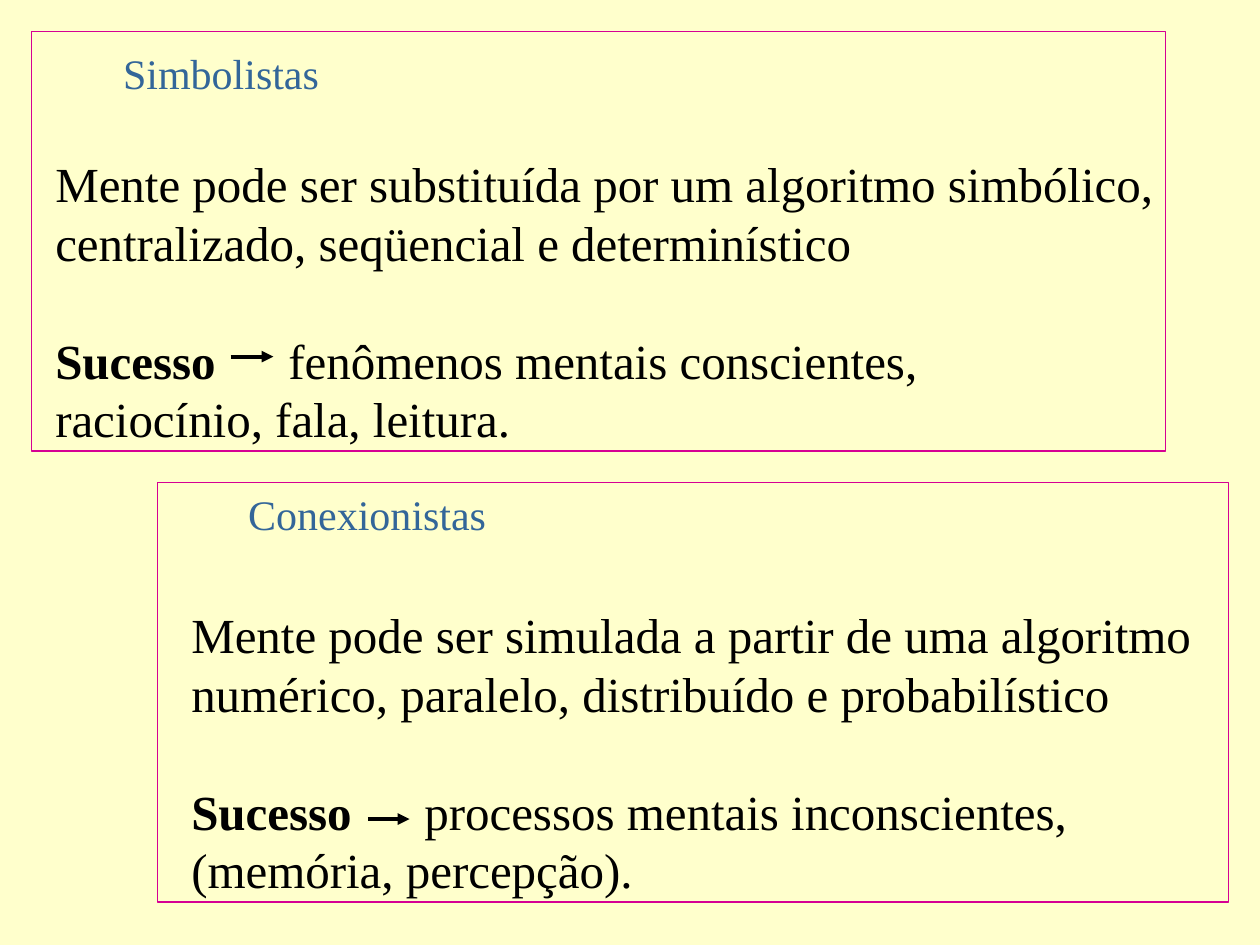
from dataclasses import dataclass

from lxml.etree import SubElement
from pptx import Presentation
from pptx.dml.color import RGBColor
from pptx.enum.shapes import MSO_CONNECTOR, MSO_SHAPE
from pptx.enum.text import PP_ALIGN
from pptx.oxml.ns import qn
from pptx.slide import Slide
from pptx.util import Inches, Pt

FONT = "Times New Roman"
BACKGROUND, BORDER, HEADING, BODY = "FFFFCC", "D60093", "336699", "000000"
SUCCESS_TAB = 1.85
Box = tuple[float, float, float, float]


@dataclass
class School:
    name: str
    frame: Box
    name_box: Box
    body_box: Box
    thesis: list[str]
    success: list[str]
    arrow: Box  # x1, y1, x2, y2


SCHOOLS = [
    School(
        "Simbolistas", (0.25, 0.25, 9, 3.33), (0.42, 0.33, 2.67, 0.74), (0.34, 1.17, 9.01, 2.44),
        ["Mente pode ser substituída por um algoritmo simbólico,",
         "centralizado, seqüencial e determinístico"],
        ["fenômenos mentais conscientes,", "raciocínio, fala, leitura."],
        (1.83, 2.83, 2.17, 2.83),
    ),
    School(
        "Conexionistas", (1.25, 3.83, 8.5, 3.33), (1.5, 3.83, 2.83, 0.83), (1.42, 4.75, 8.23, 2.44),
        ["Mente pode ser simulada a partir de uma algoritmo",
         "numérico, paralelo, distribuído e probabilístico"],
        ["processos mentais inconscientes,", "(memória, percepção)."],
        (2.92, 6.5, 3.25, 6.5),
    ),
]


def color(value: str) -> RGBColor:
    return RGBColor.from_string(value)


def add_run(p, text: str, size: float, fill: str, bold: bool = False) -> None:
    r = p.add_run()
    r.text = text
    r.font.name, r.font.size, r.font.bold = FONT, Pt(size), bold
    r.font.color.rgb = color(fill)


def add_text_frame(s: Slide, box: Box):
    tf = s.shapes.add_textbox(*map(Inches, box)).text_frame
    tf.word_wrap = True
    return tf


def add_name(s: Slide, school: School) -> None:
    p = add_text_frame(s, school.name_box).paragraphs[0]
    p.alignment = PP_ALIGN.CENTER
    add_run(p, school.name, 24, HEADING)


def add_body(s: Slide, school: School) -> None:
    tf = add_text_frame(s, school.body_box)
    tf.word_wrap = False
    for i, line in enumerate(school.thesis + school.success):
        p = tf.paragraphs[0] if i == 0 else tf.add_paragraph()
        if i == len(school.thesis):
            p.space_before = Pt(33.6)
            tabs = SubElement(p._p.get_or_add_pPr(), qn("a:tabLst"))
            SubElement(tabs, qn("a:tab"), pos=str(Inches(SUCCESS_TAB)), algn="l")
            add_run(p, "Sucesso", 28, BODY, bold=True)
            line = "\t" + line
        add_run(p, line, 28, BODY)


def add_arrow(s: Slide, ends: Box) -> None:
    line = s.shapes.add_connector(MSO_CONNECTOR.STRAIGHT, *map(Inches, ends))
    line.line.color.rgb = color(BODY)
    line.line.width = Pt(2.25)
    SubElement(line.line._get_or_add_ln(), qn("a:tailEnd"), type="triangle")
    SubElement(line._element.spPr, qn("a:effectLst"))


def add_frame(s: Slide, box: Box) -> None:
    sp = s.shapes.add_shape(MSO_SHAPE.RECTANGLE, *map(Inches, box))
    sp.shadow.inherit = False
    sp.fill.background()
    sp.line.color.rgb = color(BORDER)
    sp.line.width = Pt(0.75)


def main() -> None:
    prs = Presentation()
    prs.slide_width, prs.slide_height = Inches(10), Inches(7.5)
    s = prs.slides.add_slide(prs.slide_layouts[6])
    s.background.fill.solid()
    s.background.fill.fore_color.rgb = color(BACKGROUND)
    for school in SCHOOLS:
        add_body(s, school)
        add_name(s, school)
        add_arrow(s, school.arrow)
        add_frame(s, school.frame)
    prs.save("out.pptx")


if __name__ == "__main__":
    main()
